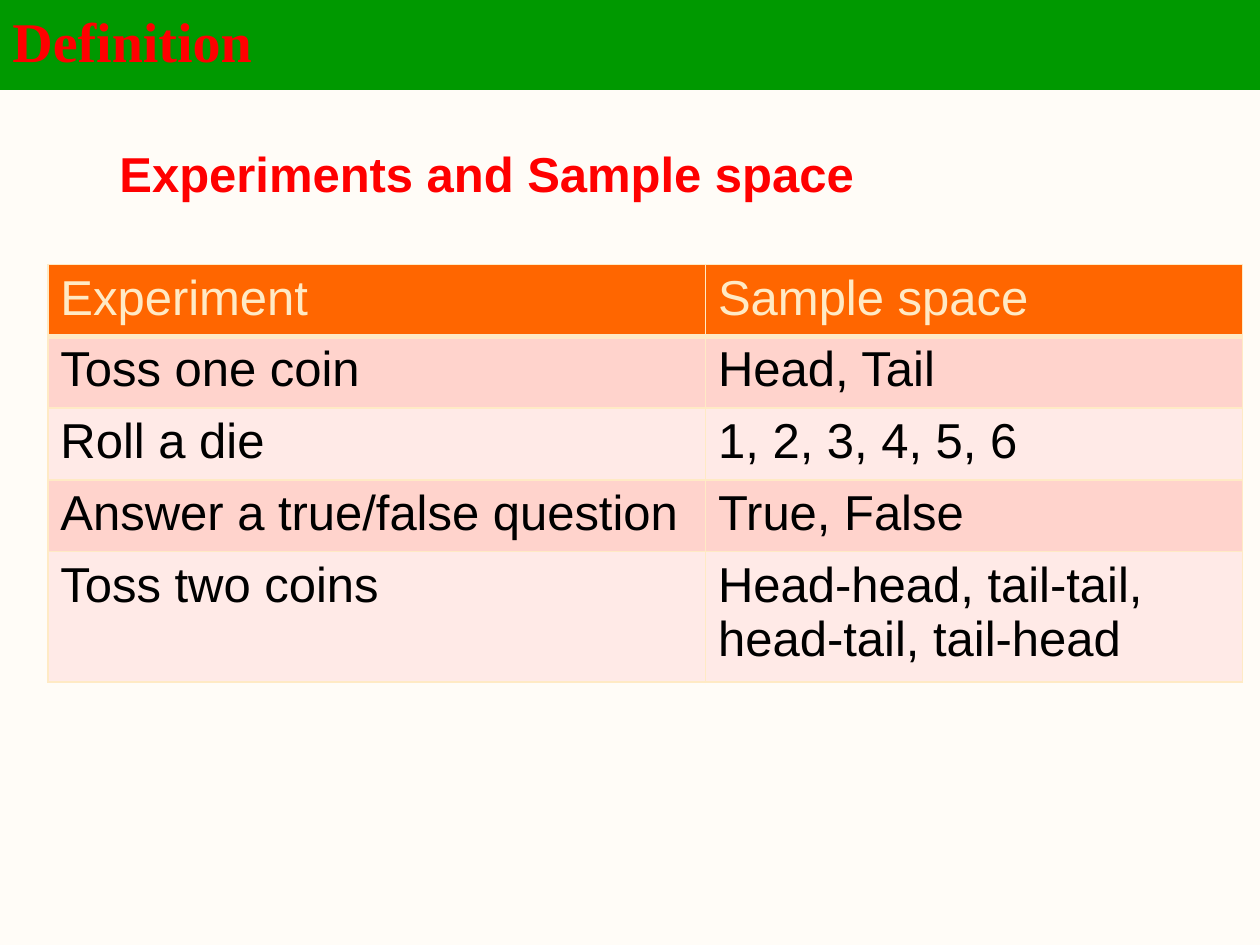
"""Build a slide that lists experiments and their sample spaces."""
from lxml.etree import SubElement
from pptx import Presentation
from pptx.dml.color import RGBColor
from pptx.enum.shapes import MSO_SHAPE
from pptx.enum.text import MSO_ANCHOR, PP_ALIGN
from pptx.oxml.ns import qn
from pptx.util import Inches, Pt

BANNER_TEXT = "Definition"
HEADING = "Experiments and Sample space"
ROWS = [
    ("Experiment", "Sample space"),
    ("Toss one coin", "Head, Tail"),
    ("Roll a die", "1, 2, 3, 4, 5, 6"),
    ("Answer a true/false question", "True, False"),
    ("Toss two coins", "Head-head, tail-tail, head-tail, tail-head"),
]
COLUMN_WIDTHS = [5.22, 4.26]
ROW_HEIGHTS = [0.57] * 4 + [1.03]

PAPER = RGBColor(0xFF, 0xFC, 0xF7)
GREEN = RGBColor(0x00, 0x99, 0x00)
RED = RGBColor(0xFF, 0x00, 0x00)
BLACK = RGBColor(0x00, 0x00, 0x00)
ORANGE = RGBColor(0xFF, 0x66, 0x00)
CREAM = RGBColor(0xFF, 0xEA, 0xC5)
BANDS = [RGBColor(0xFF, 0xEA, 0xE7), RGBColor(0xFF, 0xD3, 0xCC)]


def write(frame, text, size, color, bold=False, name="Arial"):
    """Fill a text frame with one formatted, left-aligned paragraph."""
    frame.word_wrap = True
    frame.text = text
    paragraph = frame.paragraphs[0]
    paragraph.alignment = PP_ALIGN.LEFT
    font = paragraph.runs[0].font
    font.name, font.size, font.bold = name, Pt(size), bold
    font.color.rgb = color
    return paragraph


def add_borders(cell, bottom):
    """Draw cream lines on the four sides of a cell."""
    properties = cell._tc.get_or_add_tcPr()
    for side, width in [("L", 1), ("R", 1), ("T", 1), ("B", bottom)]:
        line = SubElement(properties, qn(f"a:ln{side}"), w=str(Pt(width)))
        fill = SubElement(line, qn("a:solidFill"))
        SubElement(fill, qn("a:srgbClr"), val=str(CREAM))


def add_banner(page, width):
    """Add the green band across the top."""
    banner = page.shapes.add_shape(MSO_SHAPE.RECTANGLE, 0, 0, width, Inches(0.71))
    banner.shadow.inherit = False
    banner.fill.solid()
    banner.fill.fore_color.rgb = GREEN
    banner.line.color.rgb = GREEN
    banner.line.width = Pt(0.75)
    banner.text_frame.vertical_anchor = MSO_ANCHOR.MIDDLE
    paragraph = write(banner.text_frame, BANNER_TEXT, 32, RED, True, "Times New Roman")
    paragraph.line_spacing = 0.9


def add_heading(page):
    """Add the heading above the table."""
    box = page.shapes.add_textbox(Inches(0.85), Inches(1.05), Inches(7.33), Inches(0.68))
    box.text_frame.margin_top = Inches(0.09)
    write(box.text_frame, HEADING, 28, RED, True)


def add_experiments(page):
    """Add the table with a header row and banded body rows."""
    table = page.shapes.add_table(
        len(ROWS), len(COLUMN_WIDTHS), Inches(0.38), Inches(2.1),
        Inches(sum(COLUMN_WIDTHS)), Inches(sum(ROW_HEIGHTS)),
    ).table
    for column, width in zip(table.columns, COLUMN_WIDTHS):
        column.width = Inches(width)
    for index, (texts, height) in enumerate(zip(ROWS, ROW_HEIGHTS)):
        header = index == 0
        table.rows[index].height = Inches(height)
        for cell, text in zip(table.rows[index].cells, texts):
            write(cell.text_frame, text, 28, CREAM if header else BLACK)
            add_borders(cell, 3 if header else 1)
            cell.fill.solid()
            cell.fill.fore_color.rgb = ORANGE if header else BANDS[index % 2]


def main():
    """Assemble and save the deck."""
    deck = Presentation()
    deck.slide_width, deck.slide_height = Inches(10), Inches(7.5)
    page = deck.slides.add_slide(deck.slide_layouts[6])
    page.background.fill.solid()
    page.background.fill.fore_color.rgb = PAPER
    add_banner(page, deck.slide_width)
    add_heading(page)
    add_experiments(page)
    deck.save("out.pptx")


if __name__ == "__main__":
    main()
